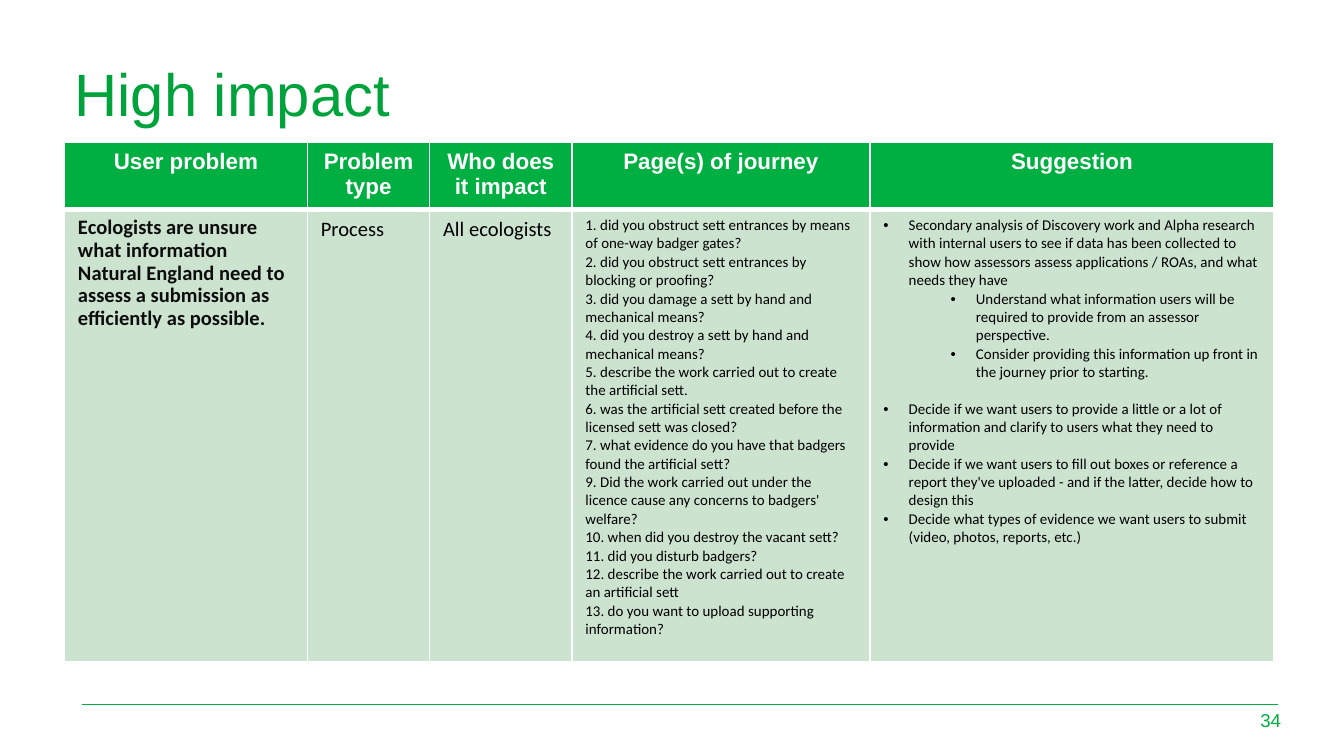
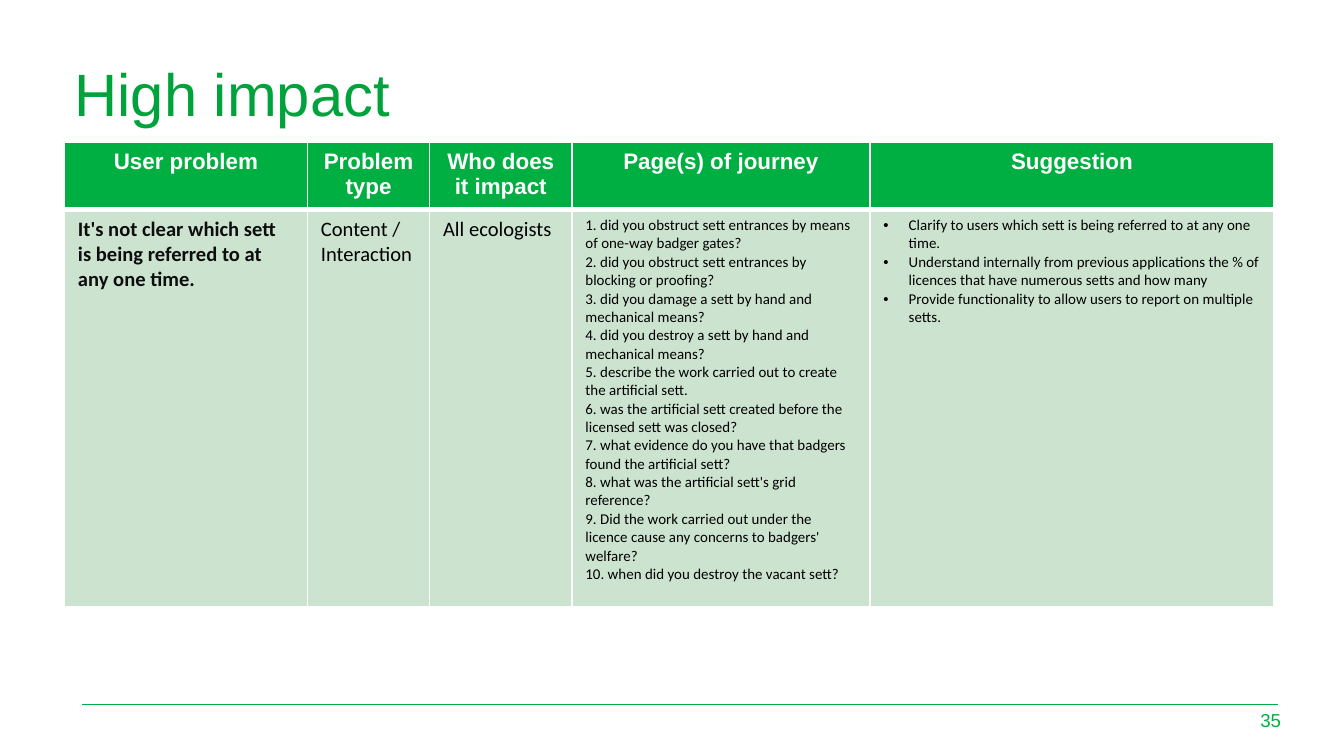
from pptx import Presentation
from pptx.dml.color import RGBColor
from pptx.enum.shapes import MSO_CONNECTOR
from pptx.enum.text import MSO_ANCHOR, PP_ALIGN
from pptx.oxml.ns import qn
from pptx.util import Cm, Pt
from lxml.etree import SubElement

GREEN = RGBColor(0x00, 0xAF, 0x41)
TITLE = RGBColor(0x00, 0xA3, 0x3B)
PALE = RGBColor(0xCC, 0xE3, 0xCF)
INK = RGBColor(0x0D, 0x0D, 0x0D)
BLACK = RGBColor(0, 0, 0)
WHITE = RGBColor(0xFF, 0xFF, 0xFF)

HEADS = ["User problem", "Problem type", "Who does it impact",
         "Page(s) of journey", "Suggestion"]
WIDTHS = [4.59, 2.31, 2.69, 5.63, 7.64]
HEAD_H = 1.22

PAGES = {
    1: "did you obstruct sett entrances by means of one-way badger gates?",
    2: "did you obstruct sett entrances by blocking or proofing?",
    3: "did you damage a sett by hand and mechanical means?",
    4: "did you destroy a sett by hand and mechanical means?",
    5: "describe the work carried out to create the artificial sett.",
    6: "was the artificial sett created before the licensed sett was closed?",
    7: "what evidence do you have that badgers found the artificial sett?",
    8: "what was the artificial sett's grid reference?",
    9: "Did the work carried out under the licence cause any concerns to badgers' welfare?",
    10: "when did you destroy the vacant sett?",
    11: "did you disturb badgers?",
    12: "describe the work carried out to create an artificial sett",
    13: "do you want to upload supporting information?",
}

# Each suggestion is (level, space before in points, text).
SLIDES = [
    {
        "number": 34,
        "problem": "Ecologists are unsure what information Natural England need to "
                   "assess a submission as efficiently as possible.",
        "spacing": 0.9,
        "type": "Process",
        "who": "All ecologists",
        "pages": [n for n in PAGES if n != 8],
        "height": 8.55,
        "ideas": [
            (0, 0, "Secondary analysis of Discovery work and Alpha research with internal "
                   "users to see if data has been collected to show how assessors assess "
                   "applications / ROAs, and what needs they have"),
            (1, 0, "Understand what information users will be required to provide from an "
                   "assessor perspective."),
            (1, 0, "Consider providing this information up front in the journey prior to "
                   "starting."),
            (0, 9.8, "Decide if we want users to provide a little or a lot of information "
                     "and clarify to users what they need to provide"),
            (0, 0, "Decide if we want users to fill out boxes or reference a report they've "
                   "uploaded - and if the latter, decide how to design this"),
            (0, 0, "Decide what types of evidence we want users to submit (video, photos, "
                   "reports, etc.)"),
        ],
    },
    {
        "number": 35,
        "problem": "It's not clear which sett is being referred to at any one time.",
        "spacing": 1.0,
        "type": "Content / Interaction",
        "who": "All ecologists",
        "pages": range(1, 11),
        "height": 7.5,
        "ideas": [
            (0, 0, "Clarify to users which sett is being referred to at any one time."),
            (0, 0, "Understand internally from previous applications the % of licences that "
                   "have numerous setts and how many"),
            (0, 0, "Provide functionality to allow users to report on multiple setts."),
        ],
    },
]


def style(para, size, color, face="Calibri", bold=False):
    for run in para.runs:
        font = run.font
        font.name, font.size, font.bold = face, Pt(size), bold
        font.color.rgb = color


def add_text(slide, box, text, size, color):
    shape = slide.shapes.add_textbox(*map(Cm, box))
    frame = shape.text_frame
    frame.word_wrap = True
    frame.text = text
    style(frame.paragraphs[0], size, color, "Arial")
    return frame


def add_frame(slide, number):
    """Add the title, the footer rule and the page number."""
    title = add_text(slide, (1.22, 0.97, 22.96, 1.02), "High impact", 32, TITLE)
    title.margin_left, title.margin_top = Cm(0.19), Cm(0.25)
    title.paragraphs[0].line_spacing = 0.9

    rule = slide.shapes.add_connector(
        MSO_CONNECTOR.STRAIGHT, Cm(1.55), Cm(13.31), Cm(24.16), Cm(13.31))
    rule.line.color.rgb = GREEN
    rule.line.width = Pt(0.5)
    SubElement(rule._element.spPr, qn("a:effectLst"))

    page = add_text(slide, (23.32, 13.23, 1.14, 0.76), str(number), 10, GREEN)
    page.vertical_anchor = MSO_ANCHOR.MIDDLE
    page.paragraphs[0].alignment = PP_ALIGN.RIGHT


def paint(cell, color, top, bottom):
    """Fill a cell and give it white borders."""
    props = cell._tc.get_or_add_tcPr()
    for side, width in zip("LRTB", (1, 1, top, bottom)):
        line = SubElement(props, qn(f"a:ln{side}"), w=str(Pt(width)))
        fill = SubElement(line, qn("a:solidFill"))
        SubElement(fill, qn("a:srgbClr"), val=str(WHITE))
    cell.fill.solid()
    cell.fill.fore_color.rgb = color


def add_bullet(para, level):
    para.level = level
    props = para._p.get_or_add_pPr()
    props.set("marL", str(Cm(0.48 + 1.27 * level)))
    props.set("indent", str(-Cm(0.48)))
    SubElement(props, qn("a:buFont"), typeface="Arial")
    SubElement(props, qn("a:buChar"), char="•")


def add_grid(slide, data):
    table = slide.shapes.add_table(
        2, len(HEADS), Cm(1.22), Cm(2.69), Cm(sum(WIDTHS)),
        Cm(HEAD_H + data["height"])).table
    table.horz_banding = False
    table.rows[0].height = Cm(HEAD_H)
    table.rows[1].height = Cm(data["height"])

    pages = "\n".join(f"{n}. {PAGES[n]}" for n in data["pages"])
    ideas = "\n".join(text for _, _, text in data["ideas"])
    body = [data["problem"], data["type"], data["who"], pages, ideas]
    sizes = [11, 11, 11, 8, 8]

    for col, (head, text, size) in enumerate(zip(HEADS, body, sizes)):
        table.columns[col].width = Cm(WIDTHS[col])
        top, low = table.cell(0, col), table.cell(1, col)
        paint(top, GREEN, 1, 3)
        paint(low, PALE, 3, 1)
        top.text_frame.text = head
        para = top.text_frame.paragraphs[0]
        para.alignment = PP_ALIGN.CENTER
        style(para, 12, WHITE, "Arial", True)
        low.text_frame.text = text
        for para in low.text_frame.paragraphs:
            style(para, size, BLACK if col else INK, bold=col == 0)

    table.cell(1, 0).text_frame.paragraphs[0].line_spacing = data["spacing"]
    paras = table.cell(1, 4).text_frame.paragraphs
    for para, (level, gap, _) in zip(paras, data["ideas"]):
        add_bullet(para, level)
        if gap:
            para.space_before = Pt(gap)


def main():
    deck = Presentation()
    deck.slide_width, deck.slide_height = Cm(25.4), Cm(14.29)
    for data in SLIDES:
        slide = deck.slides.add_slide(deck.slide_layouts[6])
        add_frame(slide, data["number"])
        add_grid(slide, data)
    deck.save("out.pptx")


if __name__ == "__main__":
    main()
